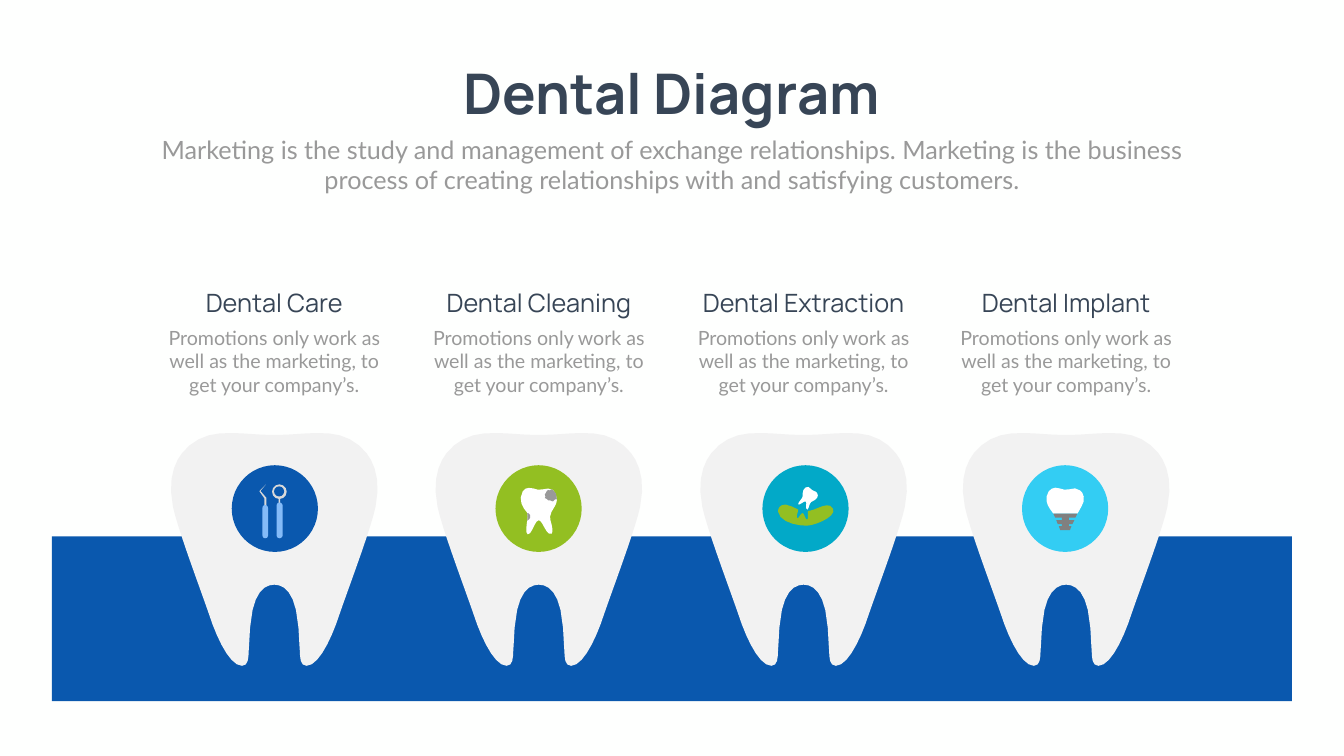
import math

import pptx
import pptx.dml.color
import pptx.enum.shapes
import pptx.enum.text
import pptx.util

Cm, Pt = pptx.util.Cm, pptx.util.Pt
SHAPE = pptx.enum.shapes.MSO_SHAPE

COLORS = {
    "page": "FEFFFE", "blue": "0A58AE", "green": "93BF22", "teal": "02A9C8",
    "sky": "33CDF3", "enamel": "F2F2F2", "white": "FFFFFF", "steel": "D9D9D9",
    "handle": "84BBF8", "screw": "808080", "grey": "999999", "ink": "374556",
}
TITLE = "Dental Diagram"
SUBTITLE = ("Marketing is the study and management of exchange relationships. Marketing is the "
            "business process of creating relationships with and satisfying customers.")
CAPTION = "Promotions only work as well as the marketing, to get your company’s."

# Outlines are a start point, then lines (x, y) or Bézier curves (two controls and an end),
# in UNITs from the tooth's top centre or from the icon's centre.
UNIT = Cm(0.0254)
HALF_TOOTH = [
    (0, 4), (-44, 4, -67, -2, -109, 1), (-138, 3, -165, 17, -183, 40),
    (-198, 59, -212, 93, -201, 146), (-192, 190, -145, 314, -130, 358),
    (-114, 408, -88, 462, -64, 462), (-48, 462, -52, 437, -50, 422),
    (-50, 398, -47, 374, -43, 351), (-34, 311, -16, 301, 0, 301),
]

# Each icon part: colour, kind, then an outline or (left, top, width, height).
TOOLS = [
    ("steel", "outline", [(-17, -21), (-29, -35), (-18, -48), (-30, -36), (-31, -34),
                          (-21, -20), (-21, -2), (-17, -2)]),
    ("handle", "rounded", (-25, -7, 11, 66)),
    ("steel", "box", (7, -33, 3, 36)),
    ("steel", "oval", (-6, -48, 29, 29)),
    ("blue", "oval", (-2, -44, 20, 20)),
    ("handle", "rounded", (3, -12, 12, 71)),
]
DECAYED_TOOTH = [
    ("white", "outline", [
        (-20, -41), (-17, -41, -14, -41, -11, -40), (-6, -38, 2, -36, 7, -38),
        (15, -40, 22, -41, 28, -37), (32, -34, 35, -27, 36, -18), (36, -13, 34, -9, 32, -5),
        (23, 8, 21, 16, 23, 23), (25, 29, 30, 48, 25, 50), (15, 55, 8, 24, 0, 23),
        (-8, 23, -14, 53, -22, 51), (-26, 49, -25, 40, -24, 31), (-23, 24),
        (-22, 18, -22, 13, -23, 9), (-24, 7), (-31, -1, -42, -17, -32, -34),
        (-29, -39, -25, -41, -20, -41)]),
    ("grey", "outline", [
        (25, -38), (28, -37), (33, -34, 36, -27, 36, -18), (32, -18), (28, -14), (23, -16),
        (21, -15, 17, -16, 16, -19), (12, -21), (13, -24), (12, -28), (14, -31), (16, -35),
        (17, -37, 20, -37, 21, -36)]),
    ("grey", "outline", [
        (-21, 9), (-19, 11), (-17, 13), (-17, 18), (-19, 21), (-23, 24),
        (-22, 18, -22, 13, -23, 9)]),
]
PULLED_TOOTH = [
    ("white", "outline", [
        (0, -42), (4, -44, 7, -43, 9, -40), (11, -38, 13, -36, 16, -35),
        (19, -34, 22, -33, 23, -30), (25, -27, 24, -20, 18, -17), (11, -14, 9, -12, 8, -9),
        (7, -6, 5, 2, 3, 2), (-2, 1, 3, -12, 0, -14), (-3, -16, -12, -6, -15, -8),
        (-17, -11, -5, -21, -6, -25), (-6, -30, -7, -38, 0, -42)]),
    ("green", "outline", [
        (54, 0), (46, -16, 22, 2, 9, 4), (4, 5), (4, 10),
        (4, 13, 5, 21, 3, 22), (-1, 23, -3, 9, -6, 9), (-10, 8, -14, 21, -17, 19),
        (-20, 18, -15, 6, -15, 2), (-24, -2, -31, -7, -40, -8), (-53, -8, -55, 1, -55, 6),
        (-52, 26, -20, 34, 2, 34), (21, 33, 62, 15, 54, 0)]),
]
IMPLANT = [
    ("white", "outline", [
        (-24, 10), (24, 10), (26, 6, 29, 2, 32, -4), (41, -17, 36, -32, 29, -36),
        (23, -41, 16, -41, 7, -38), (2, -36, -6, -38, -12, -40), (-20, -43, -28, -41, -33, -34),
        (-44, -17, -33, -2, -26, 7)]),
    ("screw", "outline", [(-24, 10), (24, 10), (20, 18), (-20, 18)]),
    ("screw", "outline", [(-18, 23), (18, 23), (14, 31), (-15, 31)]),
    ("screw", "outline", [(-13, 35), (12, 35), (9, 43), (-10, 43)]),
    ("screw", "box", (-7, 16, 14, 25)),
]
# Heading, tooth centre and icon centre in cm, icon colour, icon parts
SERVICES = [
    ("Dental Care", 13.82, 13.86, "blue", TOOLS),
    ("Dental Cleaning", 27.15, 27.15, "green", DECAYED_TOOTH),
    ("Dental Extraction", 40.49, 40.6, "teal", PULLED_TOOTH),
    ("Dental Implant", 53.72, 53.68, "sky", IMPLANT),
]
TOOTH_TOP, ICON_MIDDLE, TEXT_WIDTH = 21.82, 25.63, 12.67
DISC = (-86, -86, 171, 172)
PRESETS = {"box": SHAPE.RECTANGLE, "oval": SHAPE.OVAL, "rounded": SHAPE.ROUNDED_RECTANGLE}


def rgb(name):
    return pptx.dml.color.RGBColor.from_string(COLORS[name])


def paint(shape, color):
    shape.shadow.inherit = False
    shape.fill.solid()
    shape.fill.fore_color.rgb = rgb(color)
    shape.line.fill.background()


def flatten(outline):
    """Turn lines and Bézier curves into points that stay within one UNIT of the curve."""
    points = [outline[0]]
    for segment in outline[1:]:
        if len(segment) == 2:
            points.append(segment)
            continue
        xs, ys = ((points[-1][axis], *segment[axis::2]) for axis in (0, 1))
        bend = max(math.hypot(xs[i] - 2 * xs[i + 1] + xs[i + 2],
                              ys[i] - 2 * ys[i + 1] + ys[i + 2]) for i in (0, 1))
        steps = max(1, math.ceil(math.sqrt(0.75 * bend)))
        for step in range(1, steps + 1):
            t = step / steps
            weights = ((1 - t) ** 3, 3 * t * (1 - t) ** 2, 3 * t * t * (1 - t), t ** 3)
            points.append(tuple(sum(w * v for w, v in zip(weights, values))
                                for values in (xs, ys)))
    return points


def add_outline(shapes, points, x, y, color):
    first, *rest = [(px * UNIT, py * UNIT) for px, py in points]
    builder = shapes.build_freeform(*first)
    builder.add_line_segments(rest, close=True)
    paint(builder.convert_to_shape(x, y), color)


def add_preset(shapes, kind, frame, x, y, color):
    left, top, width, height = (value * UNIT for value in frame)
    shape = shapes.add_shape(PRESETS[kind], x + left, y + top, width, height)
    if kind == "rounded":
        shape.adjustments[0] = 0.5
    paint(shape, color)


def add_icon(slide, x, y, color, parts):
    shapes = slide.shapes.add_group_shape().shapes
    add_preset(shapes, "oval", DISC, x, y, color)
    for part_color, kind, data in parts:
        if kind == "outline":
            add_outline(shapes, flatten(data), x, y, part_color)
        else:
            add_preset(shapes, kind, data, x, y, part_color)


def set_text(box, frame, text, font, size, color, bold=False):
    box.left, box.top, box.width, box.height = (Cm(value) for value in frame)
    box.text_frame.text = text
    box.text_frame.word_wrap = True
    box.text_frame.auto_size = pptx.enum.text.MSO_AUTO_SIZE.NONE
    box.text_frame.vertical_anchor = pptx.enum.text.MSO_ANCHOR.TOP
    para = box.text_frame.paragraphs[0]
    para.alignment = pptx.enum.text.PP_ALIGN.CENTER
    para.space_before = Pt(0)
    para.font.name, para.font.size, para.font.bold = font, Pt(size), bold
    para.font.color.rgb = rgb(color)


def main():
    deck = pptx.Presentation()
    deck.slide_width, deck.slide_height = Cm(67.72), Cm(38.1)
    slide = deck.slides.add_slide(deck.slide_layouts[0])
    slide.background.fill.solid()
    slide.background.fill.fore_color.rgb = rgb("page")
    title, subtitle = slide.placeholders
    set_text(title, (21.97, 2.84, 23.75, 3.68), TITLE, "Manrope", 80, "ink", True)
    set_text(subtitle, (7.42, 6.63, 52.88, 3.33), SUBTITLE, "Lato", 36, "grey")

    band = slide.shapes.add_shape(SHAPE.RECTANGLE, Cm(2.62), Cm(27.03), Cm(62.48), Cm(8.31))
    paint(band, "blue")

    half = flatten(HALF_TOOTH)
    tooth = half + [(-x, y) for x, y in reversed(half[1:-1])]
    for heading, center, icon_center, color, parts in SERVICES:
        add_outline(slide.shapes, tooth, Cm(center), Cm(TOOTH_TOP), "enamel")
        add_icon(slide, Cm(icon_center), Cm(ICON_MIDDLE), color, parts)
        left = center - TEXT_WIDTH / 2
        for frame, text, font, size, ink in (
                ((left, 14.38, TEXT_WIDTH, 1.8), heading, "Manrope", 36, "ink"),
                ((left, 16.28, TEXT_WIDTH, 3.84), CAPTION, "Lato", 28, "grey")):
            set_text(slide.shapes.add_textbox(0, 0, 0, 0), frame, text, font, size, ink)
    deck.save("out.pptx")


if __name__ == "__main__":
    main()
